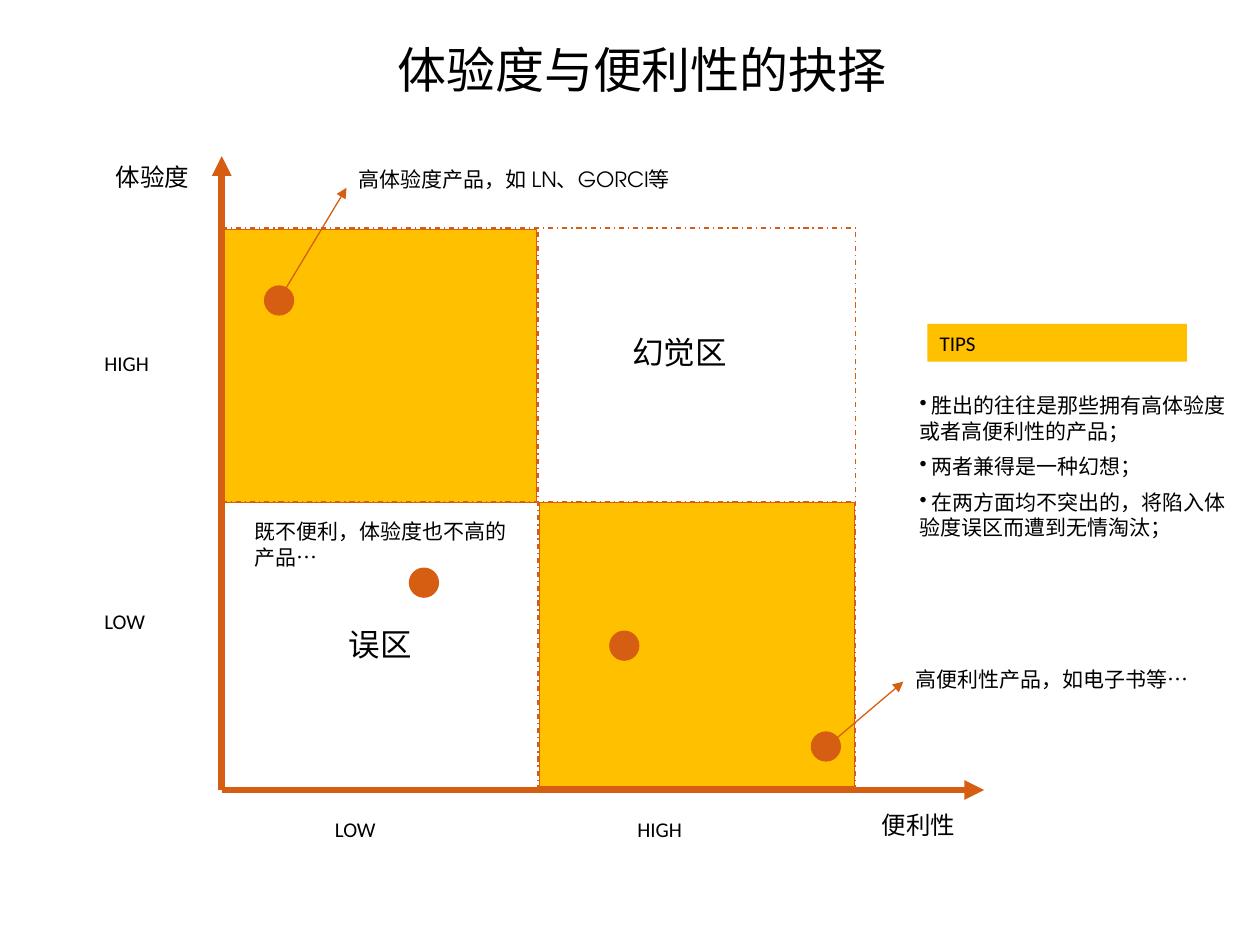
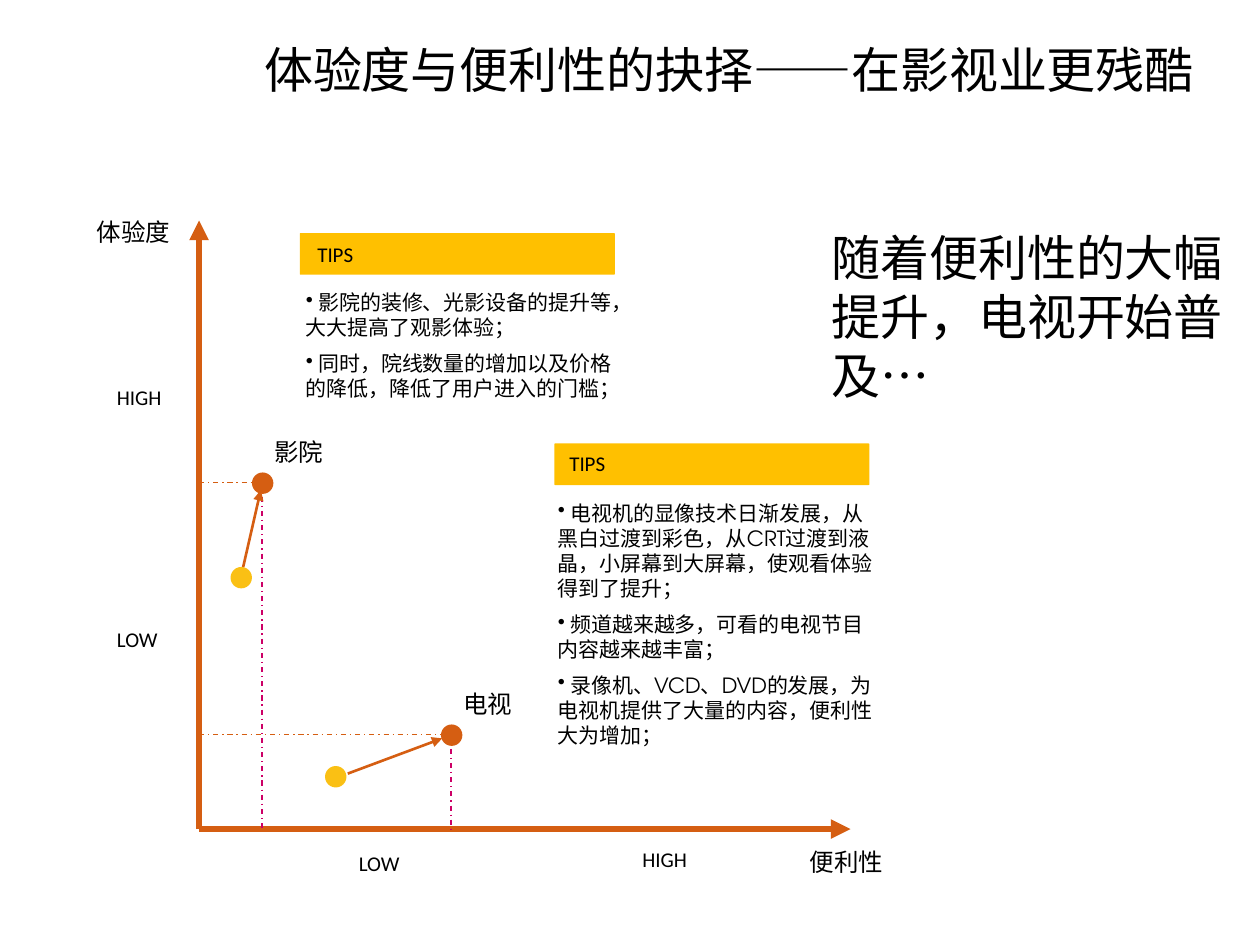
from lxml import etree
from pptx import Presentation
from pptx.dml.color import RGBColor
from pptx.enum import dml, shapes, text
from pptx.oxml import ns
from pptx.util import Inches, Pt

BLACK = RGBColor(0x00, 0x00, 0x00)
ORANGE = RGBColor(0xD5, 0x5E, 0x12)
AMBER = RGBColor(0xFF, 0xC0, 0x00)
YELLOW = RGBColor(0xFA, 0xC0, 0x14)
MAGENTA = RGBColor(0xCC, 0x00, 0x66)

CJK_FONT = "Noto Sans CJK SC"
LABEL_FONT = "Calibri"
BODY_FONT = "TeX Gyre Adventor"
TITLE_BOX = (0.22, 0.22, 9.75, 0.66)
NOTE_WIDTH = 2.75


def set_values(target, values):
    for name, value in values.items():
        setattr(target, name, value)


def add_element(parent, tag, **attributes):
    return etree.SubElement(parent, ns.qn(tag), **attributes)


def fill_text(shape, lines, size, font, bullets=False, **frame_format):
    """Write one paragraph for each line, with an optional bullet."""
    frame = shape.text_frame
    set_values(frame, {"word_wrap": True, **frame_format})
    for index, line in enumerate(lines):
        paragraph = frame.add_paragraph() if index else frame.paragraphs[0]
        paragraph.alignment = text.PP_ALIGN.LEFT
        if index:
            paragraph.space_before = Pt(size / 2)
        if bullets:
            add_element(paragraph._p.get_or_add_pPr(), "a:buChar", char="•")
            line = " " + line
        run = paragraph.add_run()
        run.text = line
        set_values(run.font, {"size": Pt(size), "name": font})
        run.font.color.rgb = BLACK
        add_element(run._r.get_or_add_rPr(), "a:ea", typeface=CJK_FONT)


def add_text(slide, box, *lines, size=12, font=LABEL_FONT, **options):
    shape = slide.shapes.add_textbox(*map(Inches, box))
    fill_text(shape, lines, size, font, **options)
    return shape


def add_title(slide, title, indent=0):
    """Centre the title in the space right of the indent."""
    shape = add_text(slide, TITLE_BOX, title, size=28, font=CJK_FONT,
                     vertical_anchor=text.MSO_ANCHOR.MIDDLE)
    paragraph = shape.text_frame.paragraphs[0]
    paragraph.alignment = text.PP_ALIGN.CENTER
    paragraph._p.get_or_add_pPr().set("marL", str(Inches(indent)))


def add_block(slide, kind, box, fill, outlined=False):
    shape = slide.shapes.add_shape(kind, *map(Inches, box))
    shape.shadow.inherit = False
    shape.fill.solid()
    shape.fill.fore_color.rgb = fill
    if outlined:
        shape.line.color.rgb = ORANGE
        shape.line.width = Pt(0.75)
    else:
        shape.line.fill.background()
    return shape


def add_dots(slide, positions, diameter, fill, outlined=False):
    for left, top in positions:
        add_block(slide, shapes.MSO_SHAPE.OVAL, (left, top, diameter, diameter),
                  fill, outlined)


def add_line(slide, start, end, width=0.75, color=ORANGE, arrow=False):
    """Draw an arrow, or a dash-dot guide when arrow is False."""
    line = slide.shapes.add_connector(
        shapes.MSO_CONNECTOR.STRAIGHT, *map(Inches, (*start, *end)))
    line.line.color.rgb = color
    line.line.width = Pt(width)
    if arrow:
        add_element(line.line._get_or_add_ln(), "a:tailEnd", type="triangle")
    else:
        line.line.dash_style = dml.MSO_LINE.DASH_DOT
    add_element(line._element.spPr, "a:effectLst")


def add_axes(slide, origin, top, right):
    x, y = origin
    for end in ((x, top), (right, y)):
        add_line(slide, origin, end, 3.75, arrow=True)


def add_labels(slide, labels, size):
    for label, left, top, width in labels:
        add_text(slide, (left, top, width, 0.3), label, size=size)


def add_note(slide, left, top, height, *lines, bullets=False):
    add_text(slide, (left, top, NOTE_WIDTH, height), *lines,
             font=BODY_FONT, bullets=bullets)


def build_quadrants(slide):
    left, middle, right = 1.76, 4.27, 6.79
    top, centre, bottom = 1.81, 3.98, 6.27
    add_title(slide, "体验度与便利性的抉择")
    for box in ((4.28, 3.99, 2.5, 2.25), (1.76, 1.82, 2.5, 2.17)):
        add_block(slide, shapes.MSO_SHAPE.RECTANGLE, box, AMBER, outlined=True)
    add_axes(slide, (left, bottom), 1.24, 7.81)
    for y in (top, centre):
        add_line(slide, (left, y), (right, y))
    for x in (right, middle):
        add_line(slide, (x, bottom), (x, top))

    add_labels(slide, (("体验度", 0.82, 1.24, 1.6), ("便利性", 6.9, 6.38, 1.6)), 14)
    add_labels(slide, (("HIGH", 0.73, 2.73, 0.91), ("LOW", 0.73, 4.78, 0.91),
                       ("LOW", 2.56, 6.43, 0.91), ("HIGH", 4.96, 6.43, 0.91)), 12)
    add_labels(slide, (("误区", 2.67, 4.91, 0.92), ("幻觉区", 4.92, 2.59, 1.17)), 18)
    add_dots(slide, ((2.1, 2.27), (3.25, 4.51), (6.44, 5.81), (4.84, 5.01)),
             0.23, ORANGE, outlined=True)

    add_note(slide, 7.2, 3.07, 1.3,
             "胜出的往往是那些拥有高体验度或者高便利性的产品；",
             "两者兼得是一种幻想；",
             "在两方面均不突出的，将陷入体验度误区而遭到无情淘汰；",
             bullets=True)
    tips = add_block(slide, shapes.MSO_SHAPE.RECTANGLE, (7.36, 2.57, 2.06, 0.3), AMBER)
    fill_text(tips, ["TIPS"], 12, LABEL_FONT)

    add_line(slide, (2.25, 2.32), (2.75, 1.49), arrow=True)
    add_line(slide, (6.58, 5.91), (7.17, 5.41), arrow=True)
    add_note(slide, 2.75, 1.27, 0.5, "高体验度产品，如 LN、GORCI等")
    add_note(slide, 7.17, 5.24, 0.3, "高便利性产品，如电子书等…")
    add_text(slide, (1.92, 4.07, 2.25, 0.5), "既不便利，体验度也不高的产品…",
             font=BODY_FONT)


def build_film_and_television(slide):
    left, bottom = 1.58, 6.58
    add_title(slide, "体验度与便利性的抉择——在影视业更残酷", indent=1.38)
    add_axes(slide, (left, bottom), 1.75, 6.75)
    add_labels(slide, (("体验度", 0.67, 1.67, 1.17), ("便利性", 6.33, 6.67, 1.17),
                       ("影院", 2.08, 3.42, 0.67), ("电视", 3.58, 5.42, 0.67)), 14)
    add_labels(slide, (("HIGH", 0.83, 3, 0.67), ("LOW", 0.83, 4.92, 0.67),
                       ("LOW", 2.75, 6.7, 0.67), ("HIGH", 5, 6.67, 0.67)), 12)

    for x, y in ((2.08, 3.83), (3.58, 5.83)):
        add_line(slide, (left, y), (x - 0.08, y))
        add_line(slide, (x, y), (x, bottom), color=MAGENTA)
    add_dots(slide, ((1.83, 4.5), (2.58, 6.08)), 0.17, YELLOW)
    add_dots(slide, ((2, 3.75), (3.5, 5.75)), 0.17, ORANGE)
    add_line(slide, (1.93, 4.5), (2.07, 3.89), 1.5, arrow=True)
    add_line(slide, (2.76, 6.14), (3.51, 5.86), 1.5, arrow=True)

    add_note(slide, 2.33, 2.25, 1,
             "影院的装修、光影设备的提升等，大大提高了观影体验；",
             "同时，院线数量的增加以及价格的降低，降低了用户进入的门槛；",
             bullets=True)
    add_note(slide, 4.33, 3.92, 2.42,
             "电视机的显像技术日渐发展，从黑白过渡到彩色，从CRT过渡到液晶，"
             "小屏幕到大屏幕，使观看体验得到了提升；",
             "频道越来越多，可看的电视节目内容越来越丰富；",
             "录像机、VCD、DVD的发展，为电视机提供了大量的内容，便利性大为增加；",
             bullets=True)
    add_text(slide, (6.5, 1.76, 3.42, 1.51), "随着便利性的大幅提升，电视开始普及…",
             size=28, font=BODY_FONT)

    for x, y in ((2.38, 1.85), (4.4, 3.52)):
        band = add_block(slide, shapes.MSO_SHAPE.ROUNDED_RECTANGLE,
                         (x, y, 2.5, 0.33), AMBER)
        band.adjustments[0] = 0.02
    add_labels(slide, (("TIPS", 2.42, 1.87, 2.06), ("TIPS", 4.42, 3.53, 2.06)), 12)


def main():
    presentation = Presentation()
    set_values(presentation, {"slide_width": Inches(10), "slide_height": Inches(7.5)})
    for build in (build_quadrants, build_film_and_television):
        build(presentation.slides.add_slide(presentation.slide_layouts[6]))
    presentation.save("out.pptx")


if __name__ == "__main__":
    main()
